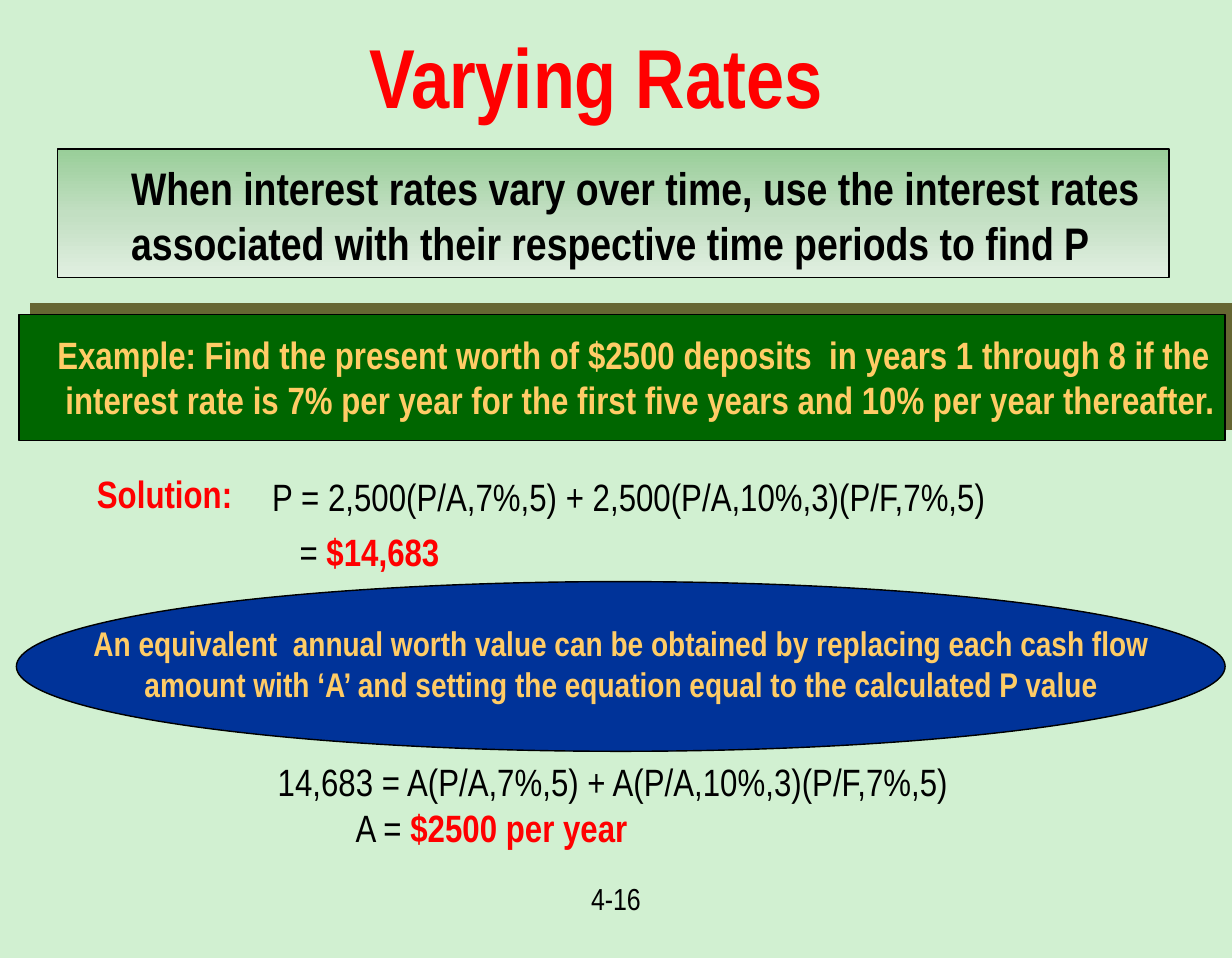
from copy import deepcopy

from lxml import etree
from pptx import Presentation
from pptx.dml.color import RGBColor
from pptx.enum.shapes import MSO_SHAPE
from pptx.enum.text import MSO_ANCHOR, PP_ALIGN
from pptx.oxml.ns import qn
from pptx.util import Inches, Pt

RECT, OVAL = MSO_SHAPE.RECTANGLE, MSO_SHAPE.OVAL
LEFT, MID = PP_ALIGN.LEFT, PP_ALIGN.CENTER
TOP, CORE = MSO_ANCHOR.TOP, MSO_ANCHOR.MIDDLE
BLACK, RED, GOLD = "000000", "FF0000", "FFCC66"
FACE = "Arial Narrow"


def color(code):
    return RGBColor.from_string(code)


def panel(slide, kind, box, fill=None):
    shape = slide.shapes.add_shape(kind, *map(Inches, box))
    shape.shadow.inherit = False
    if fill:
        shape.fill.solid()
        shape.fill.fore_color.rgb = color(fill)
    shape.line.color.rgb = color(BLACK)
    shape.line.width = Pt(0.75)
    return shape


def blend(shape, stops):
    shape.fill.gradient()
    shape.fill.gradient_angle = 270
    first = shape.fill.gradient_stops
    holder = shape.element.spPr.find(qn("a:gradFill")).find(qn("a:gsLst"))
    for _ in range(len(stops) - len(first)):
        holder.append(deepcopy(holder[-1]))
    for stop, (place, code) in zip(shape.fill.gradient_stops, stops):
        stop.position = place
        stop.color.rgb = color(code)


def shade(shape, code, dist, angle):
    effects = shape.element.spPr.find(qn("a:effectLst"))
    cast = etree.SubElement(effects, qn("a:outerShdw"), blurRad="0",
                            dist=str(Pt(dist)), dir=str(angle * 60000),
                            algn="ctr", rotWithShape="0")
    etree.SubElement(cast, qn("a:srgbClr"), val=code)


def write(slide, box, lines, size, align=LEFT, anchor=TOP, indents=()):
    frame = slide.shapes.add_textbox(*map(Inches, box)).text_frame
    frame.word_wrap = True
    frame.vertical_anchor = anchor
    for row, runs in enumerate(lines):
        para = frame.paragraphs[0] if row == 0 else frame.add_paragraph()
        para.alignment = align
        if indents:
            para._p.get_or_add_pPr().set("marL", str(Inches(indents[row])))
        for text, tint, bold in runs:
            run = para.add_run()
            run.text = text
            run.font.color.rgb = color(tint)
            form = {"name": FACE, "size": Pt(size), "bold": bold}
            for key, value in form.items():
                setattr(run.font, key, value)


def rule(slide, x, y, w, h):
    card = panel(slide, RECT, (x, y, w, h))
    blend(card, [(0, "99CE99"), (0.5, "C2DFC2"), (1, "E1EFE1")])
    write(slide, (x + 0.44, y + 0.03, w - 0.39, 0.91), [
        [("When interest rates vary over time, use the interest rates", BLACK, True)],
        [("associated with their respective time periods to find P", BLACK, True)],
    ], 24)


def example(slide, x, y, w, h):
    shade(panel(slide, RECT, (x, y, w, h), "006600"), "666633", 8.5, 315)
    write(slide, (x + 0.18, y + 0.07, w - 0.1, 0.77), [
        [("Example: Find the present worth of $2500 deposits  in years 1 through 8 if the",
          GOLD, True)],
        [("interest rate is 7% per year for the first five years and 10% per year thereafter.",
          GOLD, True)],
    ], 20, indents=(0, 0.06))


def answer(slide, x, y, w, h):
    write(slide, (x, y - 0.02, 1.25, h), [[("Solution:", RED, True)]], 20)
    write(slide, (x + 1.28, y, w - 1.28, h),
          [[("P = 2,500(P/A,7%,5) + 2,500(P/A,10%,3)(P/F,7%,5)", BLACK, False)]], 20)
    write(slide, (x + 1.48, y + 0.4, 1.5, h),
          [[("= ", BLACK, False), ("$14,683", RED, True)]], 20)


def note(slide, x, y, w, h):
    panel(slide, OVAL, (x, y, w, h), "003399")
    write(slide, (x + 0.39, y + 0.25, w - 0.77, 0.71), [
        [("An equivalent  annual worth value can be obtained by replacing each cash flow",
          GOLD, True)],
        [("amount with ‘A’ and setting the equation equal to the calculated P value",
          GOLD, True)],
    ], 18, MID)


def worth(slide, x, y, w, h):
    write(slide, (x, y, w, h),
          [[("14,683 = A(P/A,7%,5) + A(P/A,10%,3)(P/F,7%,5)", BLACK, False)]], 20)
    write(slide, (x + 0.57, y + 0.34, 2.5, h),
          [[("A = ", BLACK, False), ("$2500 per year", RED, True)]], 20)


def main():
    deck = Presentation()
    deck.slide_width, deck.slide_height = Inches(9), Inches(7)
    slide = deck.slides.add_slide(deck.slide_layouts[6])
    slide.background.fill.solid()
    slide.background.fill.fore_color.rgb = color("D1F0D1")
    write(slide, (0.53, 0.17, 7.65, 0.75),
          [[("Varying Rates", RED, True)]], 44, MID, CORE)
    rule(slide, 0.42, 1.09, 8.12, 0.94)
    example(slide, 0.14, 2.3, 8.81, 0.92)
    answer(slide, 0.61, 3.41, 6.95, 0.44)
    note(slide, 0.12, 4.25, 8.83, 1.24)
    worth(slide, 1.93, 5.49, 5.42, 0.44)
    write(slide, (3.9, 6.38, 1.2, 0.47), [[("4-16", BLACK, False)]], 16, MID)
    deck.save("out.pptx")


main()
